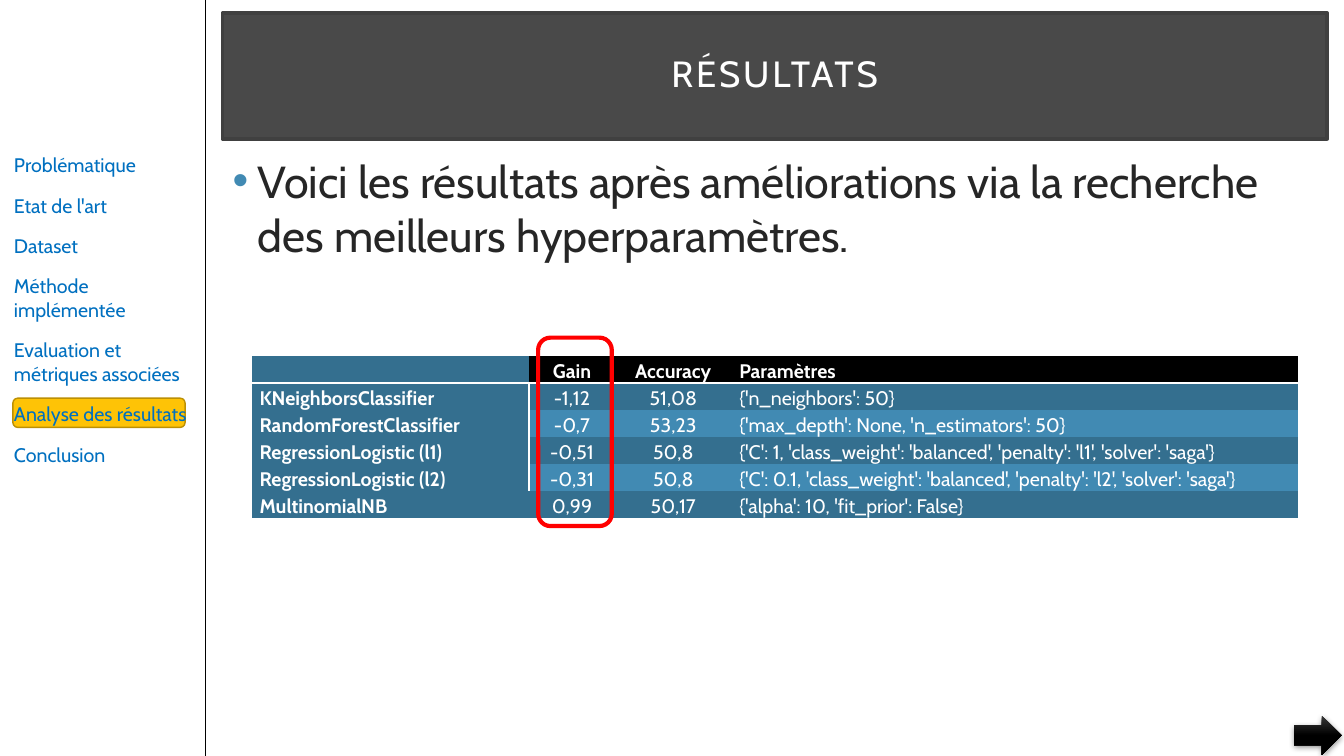
"""Builds the results slide with its section sidebar and score table."""
from dataclasses import dataclass

from pptx import Presentation
from pptx.dml.color import RGBColor as RGB
from pptx.enum.shapes import MSO_CONNECTOR as CONN, MSO_SHAPE as SHAPE
from pptx.enum.text import MSO_ANCHOR as ANCHOR, MSO_AUTO_SIZE as FIT, PP_ALIGN as ALIGN
from pptx.oxml import parse_xml
from pptx.oxml.ns import nsdecls, qn
from pptx.util import Pt


@dataclass(frozen=True)
class Theme:
    font: str = "Cabin"
    title_size: float = 26
    body_size: float = 32
    small_size: float = 14
    white: str = "FFFFFF"
    black: str = "000000"
    ink: str = "262626"
    panel: str = "0D0D0D"
    panel_line: str = "404040"
    link: str = "0070C0"
    marker: str = "FEC306"
    marker_line: str = "BC9004"
    dark_row: str = "346F8F"
    light_row: str = "418AB3"
    alert: str = "FF0000"
    sheen: str = "393939"


T = Theme()
NO_STYLE = "{2D5ABB26-0587-4C30-8999-92F81FD0307C}"
SECTIONS = ["Problématique", "Etat de l'art", "Dataset", "Méthode implémentée",
            "Evaluation et métriques associées", "Analyse des résultats", "Conclusion"]
SCORES = [
    ["", "Gain", "Accuracy", "Paramètres"],
    ["KNeighborsClassifier", "-1,12", "51,08", "{'n_neighbors': 50}"],
    ["RandomForestClassifier", "-0,7", "53,23", "{'max_depth': None, 'n_estimators': 50}"],
    ["RegressionLogistic (l1)", "-0,51", "50,8",
     "{'C': 1, 'class_weight': 'balanced', 'penalty': 'l1', 'solver': 'saga'}"],
    ["RegressionLogistic (l2)", "-0,31", "50,8",
     "{'C': 0.1, 'class_weight': 'balanced', 'penalty': 'l2', 'solver': 'saga'}"],
    ["MultinomialNB", "0,99", "50,17", "{'alpha': 10, 'fit_prior': False}"],
]


def xml(tag, attrs="", inner=""):
    return parse_xml(f"<a:{tag} {nsdecls('a')} {attrs}>{inner}</a:{tag}>")


def rgb_xml(color, inner=""):
    return f'<a:srgbClr val="{color}">{inner}</a:srgbClr>'


def write(p, text, size=T.small_size, color=T.ink, bold=False, align=ALIGN.LEFT,
          line=1.0, before=0, after=0, tracking=0):
    p.alignment, p.line_spacing = align, line
    p.space_before, p.space_after = Pt(before), Pt(after)
    r = p.add_run() if text else p
    if text:
        r.text = text
    r.font.name, r.font.size, r.font.bold = T.font, Pt(size), bold
    r.font.color.rgb = RGB.from_string(color)
    if tracking:
        r.font._element.set("spc", str(tracking * 100))


class Deck:
    def __init__(self, width, height):
        self.prs = Presentation()
        self.prs.slide_width, self.prs.slide_height = Pt(width), Pt(height)
        self.slide = self.prs.slides.add_slide(self.prs.slide_layouts[1])

    def paint(self, sp, fill=None, line=None, width=1):
        if fill:
            sp.fill.solid()
            sp.fill.fore_color.rgb = RGB.from_string(fill)
        else:
            sp.fill.background()
        if line:
            sp.line.color.rgb = RGB.from_string(line)
            sp.line.width = Pt(width)
        else:
            sp.line.fill.background()

    def place(self, sp, box):
        sp.left, sp.top, sp.width, sp.height = map(Pt, box)
        sp.text_frame.auto_size = FIT.NONE
        return sp.text_frame

    def title(self, text, box):
        sp = self.slide.shapes.title
        tf = self.place(sp, box)
        self.paint(sp, T.panel, T.panel_line, 2.5)
        sp.fill._xPr.find(f".//{qn('a:srgbClr')}").append(xml("alpha", 'val="75000"'))
        tf.vertical_anchor = ANCHOR.MIDDLE
        tf.margin_left = tf.margin_right = tf.margin_top = tf.margin_bottom = Pt(14.4)
        write(tf.paragraphs[0], text, size=T.title_size, color=T.white,
              align=ALIGN.CENTER, line=0.9, tracking=2)

    def body(self, text, box):
        p = self.place(self.slide.placeholders[1], box).paragraphs[0]
        write(p, text, size=T.body_size, before=6, after=6)
        pPr = p._p.get_or_add_pPr()
        pPr.set("marL", str(Pt(18)))
        pPr.set("indent", str(Pt(-18)))
        pPr.append(xml("buClr", inner=rgb_xml(T.light_row)))
        pPr.append(xml("buFont", 'typeface="Arial"'))
        pPr.append(xml("buChar", 'char="•"'))

    def shape(self, kind, box, rotation=0, **style):
        sp = self.slide.shapes.add_shape(kind, *map(Pt, box))
        sp.shadow.inherit = False
        sp.rotation = rotation
        self.paint(sp, **style)
        return sp

    def rule(self, x1, y1, x2, y2):
        ln = self.slide.shapes.add_connector(CONN.STRAIGHT, *map(Pt, (x1, y1, x2, y2)))
        ln.line.color.rgb = RGB.from_string(T.black)
        ln.line.width = Pt(1)
        ln._element.spPr.append(xml("effectLst"))

    def menu(self, items, box):
        tf = self.slide.shapes.add_textbox(*map(Pt, box)).text_frame
        tf.word_wrap = True
        for i, item in enumerate(items):
            p = tf.add_paragraph() if i else tf.paragraphs[0]
            write(p, item, color=T.link, before=6, after=6)

    def arrow(self, box):
        sp = self.shape(SHAPE.RIGHT_ARROW, box)
        sp.fill.gradient()
        sp.fill.gradient_angle = 270
        for stop, color, pos in zip(sp.fill.gradient_stops, (T.sheen, T.black), (0, 0.5)):
            stop.color.rgb, stop.position = RGB.from_string(color), pos
        shadow = xml("outerShdw", f'blurRad="{Pt(4.4)}" dist="{Pt(1.2)}" dir="5400000"',
                     rgb_xml(T.black, '<a:alpha val="45000"/>'))
        sp._element.spPr.find(qn("a:effectLst")).append(shadow)

    def border(self, cell, side):
        inner = f"<a:solidFill>{rgb_xml(T.white)}</a:solidFill>"
        cell._tc.get_or_add_tcPr().insert(0, xml(side, f'w="{Pt(2)}"', inner))

    def table(self, rows, widths, box):
        frame = self.slide.shapes.add_table(len(rows), len(widths), *map(Pt, box))
        next(frame._element.iter(qn("a:tableStyleId"))).text = NO_STYLE
        table = frame.table
        for column, width in zip(table.columns, widths):
            column.width = Pt(width)
        aligns = (ALIGN.LEFT, ALIGN.CENTER, ALIGN.CENTER, ALIGN.JUSTIFY)
        for i, row in enumerate(rows):
            for j, text in enumerate(row):
                cell = table.cell(i, j)
                cell.margin_left = cell.margin_right = Pt(5.4)
                cell.margin_top = cell.margin_bottom = 0
                if j == 0 or i % 2:
                    fill = T.dark_row
                else:
                    fill = T.light_row if i else T.black
                cell.fill.solid()
                cell.fill.fore_color.rgb = RGB.from_string(fill)
                if i == 0:
                    self.border(cell, "lnB")
                elif j == 0 and i < len(rows) - 1:
                    self.border(cell, "lnR")
                write(cell.text_frame.paragraphs[0], text, color=T.white,
                      bold=i == 0 or j == 0, align=aligns[j], line=1.15, before=5)


def main():
    deck = Deck(960, 540)
    deck.title("RÉSULTATS", (159, 9.2, 789, 90))
    deck.body("Voici les résultats après améliorations via la recherche "
              "des meilleurs hyperparamètres.", (159, 106, 789, 425.5))
    deck.shape(SHAPE.ROUNDED_RECTANGLE, (9.2, 284.4, 123, 20.9),
               fill=T.marker, line=T.marker_line)
    deck.rule(147, 0, 147, 540)
    deck.menu(SECTIONS, (2.9, 106, 139, 232.6))
    deck.table(SCORES, (198, 61.2, 83.5, 404.6), (180, 254.2, 747.3, 108.7))
    deck.shape(SHAPE.ROUNDED_RECTANGLE, (343.4, 282.2, 134.6, 52.6),
               rotation=90, line=T.alert, width=3)
    deck.arrow((924.5, 511.2, 33.8, 28.1))
    deck.prs.save("out.pptx")


if __name__ == "__main__":
    main()
